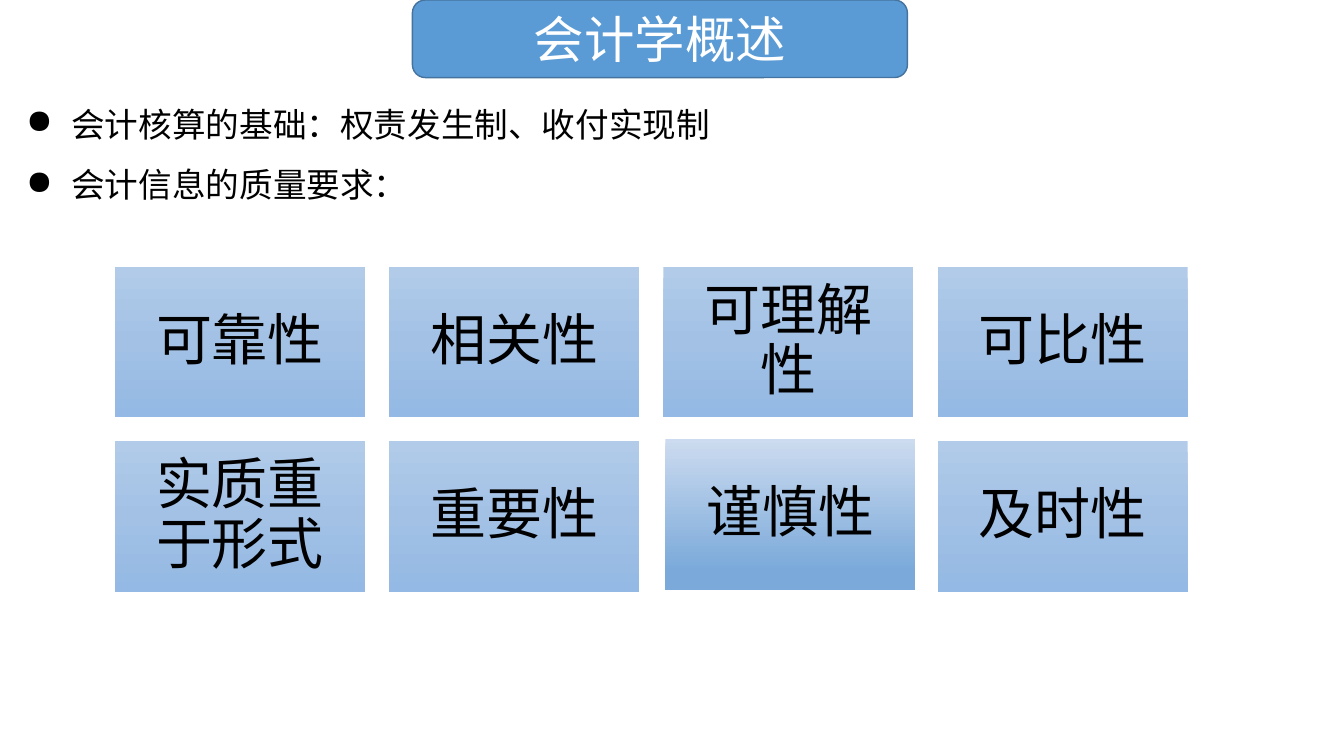
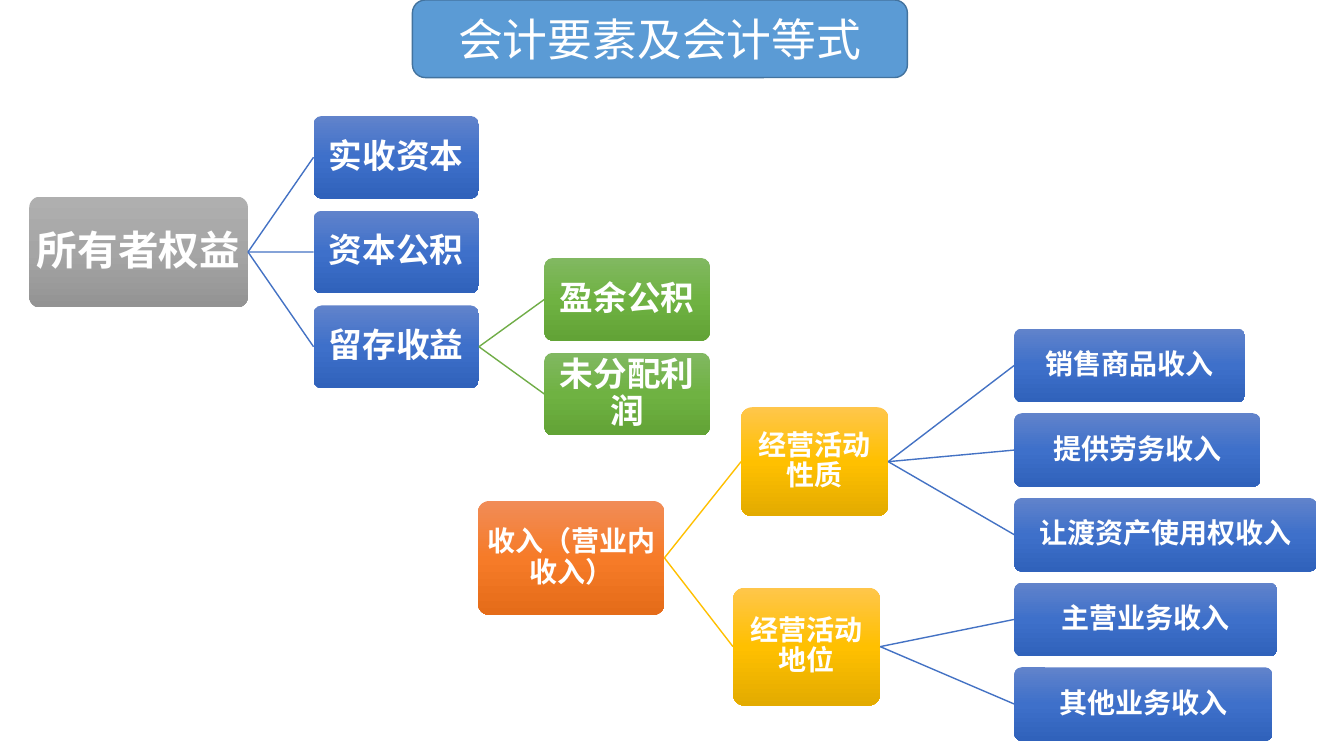
from copy import deepcopy

from pptx import Presentation
from pptx.dml.color import RGBColor
from pptx.enum.shapes import MSO_CONNECTOR, MSO_SHAPE
from pptx.enum.text import MSO_ANCHOR, MSO_AUTO_SIZE, PP_ALIGN
from pptx.oxml.ns import qn
from pptx.oxml.xmlchemy import OxmlElement
from pptx.util import Inches, Pt

WHITE = RGBColor(0xFF, 0xFF, 0xFF)
BLACK = RGBColor(0x00, 0x00, 0x00)
BANNER_FILL = RGBColor(0x5B, 0x9B, 0xD5)
BANNER_LINE = RGBColor(0x43, 0x73, 0x9E)
BLUE_LINE = RGBColor(0x44, 0x72, 0xC4)
GREEN_LINE = RGBColor(0x70, 0xAD, 0x47)
GOLD_LINE = RGBColor(0xFF, 0xC0, 0x00)

PALE = [(0, RGBColor(0xB1, 0xCB, 0xE9)), (0.5, RGBColor(0xA3, 0xC1, 0xE5)), (1, RGBColor(0x93, 0xB9, 0xE4))]
STRONG = [(0, RGBColor(0xCC, 0xDB, 0xEF)), (0.88, RGBColor(0x7A, 0xA9, 0xDA))]
GREY = [(0, RGBColor(0xAF, 0xAF, 0xAF)), (0.5, RGBColor(0xA5, 0xA5, 0xA5)), (1, RGBColor(0x93, 0x93, 0x93))]
BLUE = [(0, RGBColor(0x61, 0x83, 0xCB)), (0.5, RGBColor(0x3E, 0x70, 0xCA)), (1, RGBColor(0x30, 0x62, 0xBB))]
GREEN = [(0, RGBColor(0x81, 0xB8, 0x61)), (0.5, RGBColor(0x6F, 0xB2, 0x42)), (1, RGBColor(0x62, 0xA3, 0x36))]
ORANGE = [(0, RGBColor(0xF1, 0x8C, 0x57)), (0.5, RGBColor(0xF6, 0x7B, 0x28)), (1, RGBColor(0xE5, 0x6C, 0x19))]
GOLD = [(0, RGBColor(0xFF, 0xC6, 0x4B)), (0.5, RGBColor(0xFF, 0xC0, 0x00)), (1, RGBColor(0xE3, 0xAB, 0x00))]

FONT = "Calibri"
BANNER_BOX = {"left": Inches(4.09), "top": Inches(0), "width": Inches(4.91), "height": Inches(0.77)}


def style(obj, fmt):
    for name, value in fmt.items():
        setattr(obj, name, value)


def add_block(s, kind, box, text, stops, inset, font):
    sp = s.shapes.add_shape(kind, *[Inches(v) for v in box])
    sp.shadow.inherit = False
    sp.line.fill.background()
    sp.fill.gradient()
    sp.fill.gradient_angle = 270
    gs_lst = sp._element.spPr.find(qn("a:gradFill")).find(qn("a:gsLst"))
    for _ in stops[2:]:
        gs_lst.append(deepcopy(gs_lst[0]))
    for stop, (position, color) in zip(sp.fill.gradient_stops, stops):
        stop.position = position
        stop.color.rgb = color
    tf = sp.text_frame
    sides = ("margin_left", "margin_top", "margin_right", "margin_bottom")
    style(tf, {"word_wrap": True, "vertical_anchor": MSO_ANCHOR.MIDDLE, **dict.fromkeys(sides, Inches(inset))})
    p = tf.paragraphs[0]
    style(p, {"alignment": PP_ALIGN.CENTER, "line_spacing": 0.9})
    r = p.add_run()
    r.text = text
    color = font.pop("color")
    style(r.font, {"name": FONT, **font})
    r.font.color.rgb = color
    return sp


prs = Presentation()
style(prs, {"slide_width": Inches(13.33), "slide_height": Inches(7.5)})
layout = prs.slide_layouts[5]
for ph in list(layout.placeholders)[1:]:
    ph._element.getparent().remove(ph._element)
style(layout.placeholders[0], BANNER_BOX)

slides = []
for title, size in [("会计学概述", 36), ("会计要素及会计等式", 32)]:
    s = prs.slides.add_slide(layout)
    tf = s.shapes.title.text_frame
    style(tf, {"word_wrap": True, "auto_size": MSO_AUTO_SIZE.NONE, "vertical_anchor": MSO_ANCHOR.MIDDLE})
    p = tf.paragraphs[0]
    p.alignment = PP_ALIGN.CENTER
    r = p.add_run()
    r.text = title
    style(r.font, {"name": FONT, "size": Pt(size)})
    r.font.color.rgb = WHITE
    slides.append(s)
overview, elements = slides

banner = overview.shapes.add_shape(MSO_SHAPE.ROUNDED_RECTANGLE, *BANNER_BOX.values())
banner.shadow.inherit = False
banner.fill.solid()
banner.fill.fore_color.rgb = BANNER_FILL
banner.line.color.rgb = BANNER_LINE
banner.line.width = Pt(1)
layout.shapes._spTree.insert(2, banner._element)

tf = overview.shapes.add_textbox(Inches(0.16), Inches(0.78), Inches(12.99), Inches(1.24)).text_frame
tf.word_wrap = True
for i, text in enumerate(["会计核算的基础：权责发生制、收付实现制", "会计信息的质量要求："]):
    p = tf.add_paragraph() if i else tf.paragraphs[0]
    p.line_spacing = 1.5
    pPr = p._p.get_or_add_pPr()
    pPr.set("marL", str(Inches(0.45)))
    pPr.set("indent", str(-Inches(0.45)))
    bullet = OxmlElement("a:buChar")
    bullet.set("char", "●")
    pPr.append(bullet)
    r = p.add_run()
    r.text = text
    style(r.font, {"name": FONT, "size": Pt(24)})
    r.font.color.rgb = BLACK

qualities = ["可靠性", "相关性", "可理解性", "可比性", "实质重于形式", "重要性", "谨慎性", "及时性"]
for i, text in enumerate(qualities):
    row, col = divmod(i, 4)
    box = (1.14 + 2.72 * col, 2.65 + 1.73 * row, 2.48, 1.49)
    stops = PALE
    if text == "谨慎性":
        box, stops = (6.6, 4.36, 2.48, 1.49), STRONG
    add_block(overview, MSO_SHAPE.RECTANGLE, box, text, stops, 0.17, {"size": Pt(40), "color": BLACK})

branches = [
    (None, GREY, None, 29, (0.29, 1.95), 1.1, 0, [("所有者权益", 2.17)]),
    ("所有者权益", BLUE, BLUE_LINE, 24, (3.11, 1.15), 0.82, 0.94,
     [("实收资本", 1.64), ("资本公积", 1.64), ("留存收益", 1.64)]),
    ("留存收益", GREEN, GREEN_LINE, 24, (5.4, 2.56), 0.82, 0.94, [("盈余公积", 1.64), ("未分配利润", 1.64)]),
    (None, ORANGE, None, 20, (4.74, 4.97), 1.13, 0, [("收入（营业内收入）", 1.85)]),
    ("收入（营业内收入）", GOLD, GOLD_LINE, 20, (7.35, 4.04), 1.08, 0, [("经营活动性质", 1.46)]),
    ("收入（营业内收入）", GOLD, GOLD_LINE, 20, (7.27, 5.83), 1.17, 0, [("经营活动地位", 1.46)]),
    ("经营活动性质", BLUE, BLUE_LINE, 20, (10.06, 3.26), 0.73, 0.84,
     [("销售商品收入", 2.29), ("提供劳务收入", 2.44), ("让渡资产使用权收入", 3)]),
    ("经营活动地位", BLUE, BLUE_LINE, 20, (10.06, 5.78), 0.73, 0.84,
     [("主营业务收入", 2.61), ("其他业务收入", 2.56)]),
]
nodes = {}
for parent, stops, line_color, size, (left, top), height, pitch, items in branches:
    for i, (text, width) in enumerate(items):
        box = (left, top + pitch * i, width, height)
        font = {"size": Pt(size), "bold": True, "color": WHITE}
        sp = add_block(elements, MSO_SHAPE.ROUNDED_RECTANGLE, box, text, stops, 0.02, font)
        sp.adjustments[0] = 0.1
        nodes[text] = sp
        if parent:
            cxn = elements.shapes.add_connector(MSO_CONNECTOR.STRAIGHT, 0, 0, 0, 0)
            cxn.begin_connect(nodes[parent], 3)
            cxn.end_connect(sp, 1)
            cxn.line.color.rgb = line_color
            cxn.line.width = Pt(1)
            cxn._element.spPr.append(OxmlElement("a:effectLst"))

prs.save("out.pptx")
